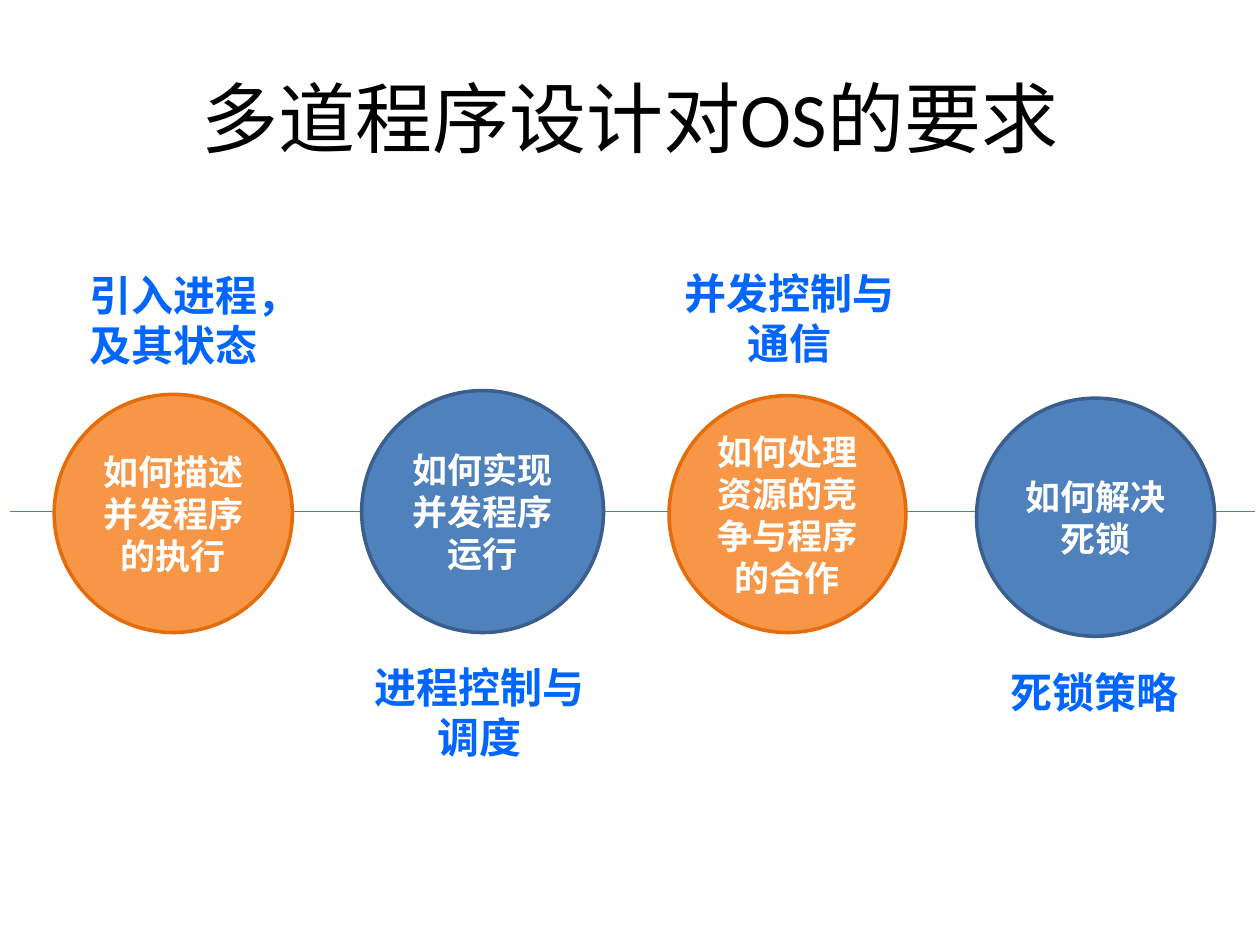
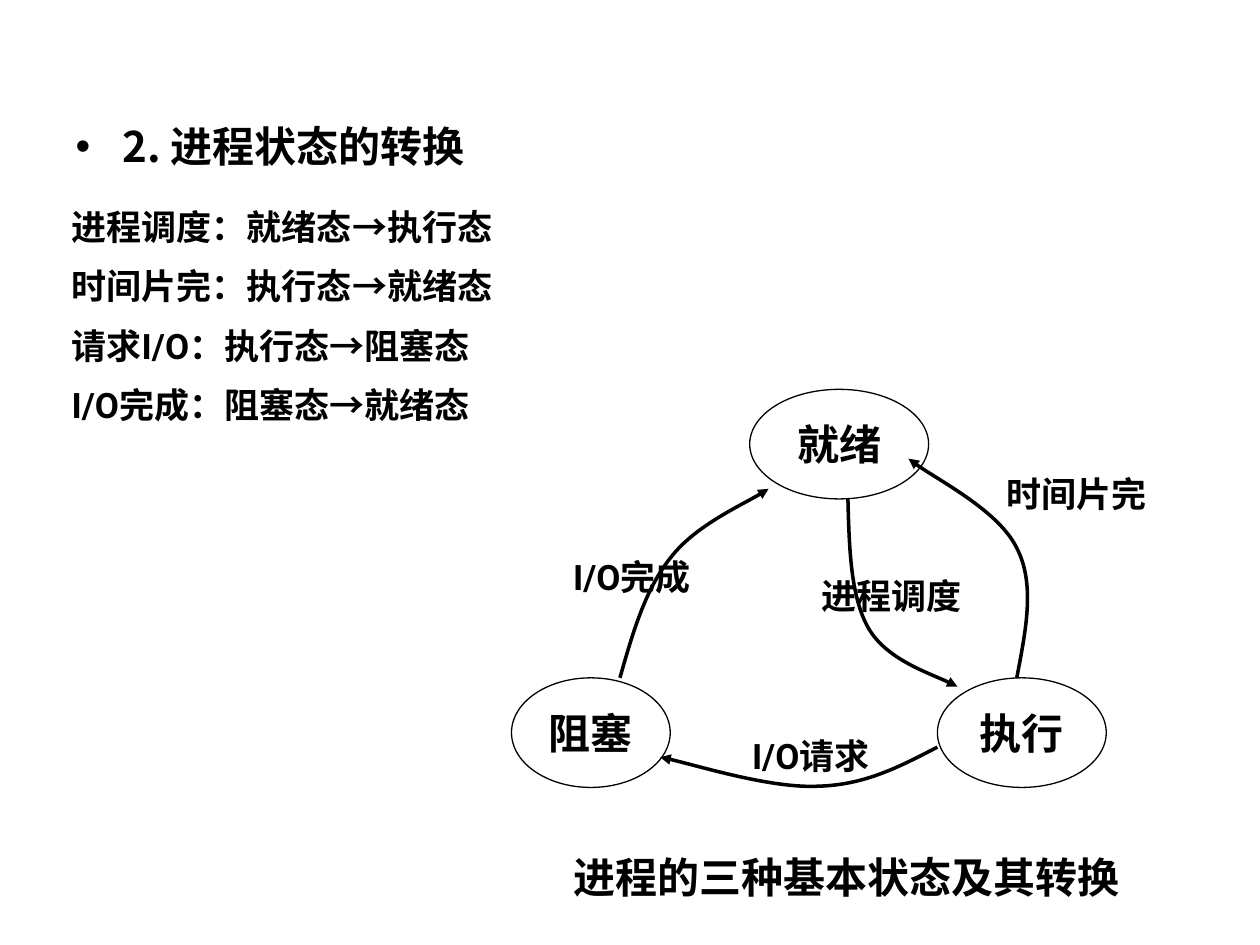
from lxml import etree
from pptx import Presentation
from pptx.dml.color import RGBColor as Rgb
from pptx.enum.shapes import MSO_CONNECTOR as Link, MSO_SHAPE as Shape
from pptx.enum.text import MSO_ANCHOR as Anchor, PP_ALIGN as Align
from pptx.oxml.ns import qn
from pptx.util import Inches, Pt

HUES = {
    "ink": "000000", "white": "FFFFFF", "note": "0066FF", "rule": "4B7EBC",
    "orange": "F79646", "amber": "E46C0A", "blue": "4F81BD", "navy": "3A5F8C",
}
CJK, SANS = "Noto Sans CJK SC", "Roboto"

# question, circle size, top, fill, line, label, label left, label top, label align
STEPS = [
    ("如何描述并发程序的执行", 1.89, 1.06, "orange", "amber",
     "引入进程，及其状态", 0.18, 0.02, Align.LEFT),
    ("如何实现并发程序运行", 1.92, 1.03, "blue", "navy",
     "进程控制与调度", 0, 3.13, Align.CENTER),
    ("如何处理资源的竞争与程序的合作", 1.88, 1.07, "orange", "amber",
     "并发控制与通信", 0.02, 0, Align.CENTER),
    ("如何解决死锁", 1.89, 1.09, "blue", "navy",
     "死锁策略", 0, 3.17, Align.CENTER),
]

# Places below are relative to the corner of the state diagram.
STATES = [
    ("就绪", 1.89, 0, 1.42),
    ("阻塞", 0, 2.29, 1.26),
    ("执行", 3.38, 2.29, 1.34),
]
# Each curve: a start, then two control points and an end for each arc.
CURVES = [
    [(0.86, 2.29), (0.96, 1.94), (1.06, 1.59), (1.26, 1.34),
     (1.45, 1.09), (1.91, 0.88), (2.04, 0.79)],
    [(3.38, 2.84), (3.09, 2.99), (2.81, 3.14), (2.44, 3.15),
     (2.07, 3.17), (1.39, 2.96), (1.18, 2.92)],
    [(2.67, 0.87), (2.68, 1.25), (2.69, 1.64), (2.83, 1.89),
     (2.97, 2.14), (3.42, 2.29), (3.54, 2.36)],
    [(4.01, 2.29), (4.08, 1.92), (4.16, 1.55), (4.01, 1.26),
     (3.87, 0.97), (3.29, 0.67), (3.15, 0.55)],
]
EVENTS = [
    ("时间片完", 3.83, 0.61),
    ("进程调度", 2.36, 1.42),
    ("I/O请求", 1.81, 2.69),
    ("I/O完成", 0.39, 1.27),
]
MOVES = [
    "进程调度：就绪态→执行态",
    "时间片完：执行态→就绪态",
    "请求I/O：执行态→阻塞态",
    "I/O完成：阻塞态→就绪态",
]


def hue(name):
    return Rgb.from_string(HUES[name])


def write(frame, *lines, size=24, color="ink", bold=True, font=CJK,
          align=Align.LEFT, anchor=Anchor.TOP, wrap=True, gap=0, pitch=None):
    """Fill a text frame with one paragraph for each line."""
    frame.word_wrap = wrap
    frame.vertical_anchor = anchor
    for i, line in enumerate(lines):
        para = frame.add_paragraph() if i else frame.paragraphs[0]
        para.alignment = align
        para.space_before = Pt(gap if i else 0)
        if pitch:
            para.line_spacing = pitch
        run = para.add_run()
        run.text = line
        run.font.size = Pt(size)
        run.font.bold = bold
        run.font.name = font
        run.font.color.rgb = hue(color)
        east = etree.SubElement(run.font._element, qn("a:ea"))
        east.set("typeface", CJK)


def place(shape, x, y, w, h):
    shape.left, shape.top, shape.width, shape.height = map(Inches, (x, y, w, h))


def label(shapes, x, y, w, h, *lines, **style):
    box = shapes.add_textbox(*map(Inches, (x, y, w, h)))
    write(box.text_frame, *lines, **style)


def oval(shapes, x, y, w, h, text, fill=None, line="ink", width=0.75, **style):
    shape = shapes.add_shape(Shape.OVAL, *map(Inches, (x, y, w, h)))
    shape.shadow.inherit = False
    if fill:
        shape.fill.solid()
        shape.fill.fore_color.rgb = hue(fill)
    else:
        shape.fill.background()
    shape.line.color.rgb = hue(line)
    shape.line.width = Pt(width)
    write(shape.text_frame, text, align=Align.CENTER, anchor=Anchor.MIDDLE, **style)


def curve(shapes, x, y, points):
    """Draw a Bezier arrow through the points, offset by x and y."""
    start, *rest = [(Inches(x + a), Inches(y + b)) for a, b in points]
    pen = shapes.build_freeform(*start)
    pen.add_line_segments(rest, close=False)
    shape = pen.convert_to_shape()
    shape.shadow.inherit = False
    shape.fill.background()
    shape.line.color.rgb = hue("ink")
    shape.line.width = Pt(2)
    tail = etree.SubElement(shape.line._get_or_add_ln(), qn("a:tailEnd"))
    tail.set("type", "triangle")
    # Regroup every three straight steps as one cubic arc.
    route = next(shape._element.iter(qn("a:path")))
    steps = route.findall(qn("a:lnTo"))
    for i in range(0, len(steps), 3):
        arc = etree.SubElement(route, qn("a:cubicBezTo"))
        for step in steps[i:i + 3]:
            arc.append(step[0])
            route.remove(step)


def rule(shapes, x, y, w):
    line = shapes.add_connector(
        Link.STRAIGHT, Inches(x), Inches(y), Inches(x + w), Inches(y))
    line.line.color.rgb = hue("rule")
    line.line.width = Pt(0.75)
    etree.SubElement(line._element.spPr, qn("a:effectLst"))


def chain(shapes, x, y, pitch):
    """Draw the row of questions on a line, each with its answer."""
    rule(shapes, x - 0.35, y + 1.99, 9.88)
    for i, (ask, size, top, fill, line, reply, dx, dy, align) in enumerate(STEPS):
        left = x + i * pitch
        oval(shapes, left, y + top, size, size, ask, fill=fill, line=line,
             width=2, size=20, color="white")
        label(shapes, left + dx, y + dy, 1.87, 0.91, reply,
              color="note", align=align)


def graph(shapes, x, y):
    """Draw the three states and the moves between them."""
    for name, dx, dy, w in STATES:
        oval(shapes, x + dx, y + dy, w, 0.87, name, font=SANS, wrap=False)
    for points in CURVES:
        curve(shapes, x, y, points)
    for name, dx, dy in EVENTS:
        label(shapes, x + dx, y + dy, 1.52, 0.43, name, size=20, font=SANS)


def needs(deck):
    slide = deck.slides.add_slide(deck.slide_layouts[5])
    title = slide.shapes.title
    place(title, 0.5, 0.3, 9, 1.25)
    write(title.text_frame, "多道程序设计对OS的要求", size=44, bold=False,
          font="Calibri", align=Align.CENTER, anchor=Anchor.MIDDLE)
    chain(slide.shapes, 0.43, 2.07, 2.44)


def changes(deck):
    slide = deck.slides.add_slide(deck.slide_layouts[1])
    title = slide.shapes.title._element
    title.getparent().remove(title)
    head = slide.placeholders[1]
    place(head, 0.5, 0.83, 5.17, 0.63)
    write(head.text_frame, "2. 进程状态的转换", align=Align.JUSTIFY, pitch=1.2)
    graph(slide.shapes.add_group_shape().shapes, 4.06, 3.09)
    label(slide.shapes, 4.45, 6.71, 5.35, 0.5,
          "进程的三种基本状态及其转换", font=SANS)
    label(slide.shapes, 0.47, 1.58, 4.5, 1.95, *MOVES,
          size=20, font=SANS, gap=10)


def main():
    deck = Presentation()
    deck.slide_width, deck.slide_height = Inches(10), Inches(7.5)
    needs(deck)
    changes(deck)
    deck.save("out.pptx")


if __name__ == "__main__":
    main()
